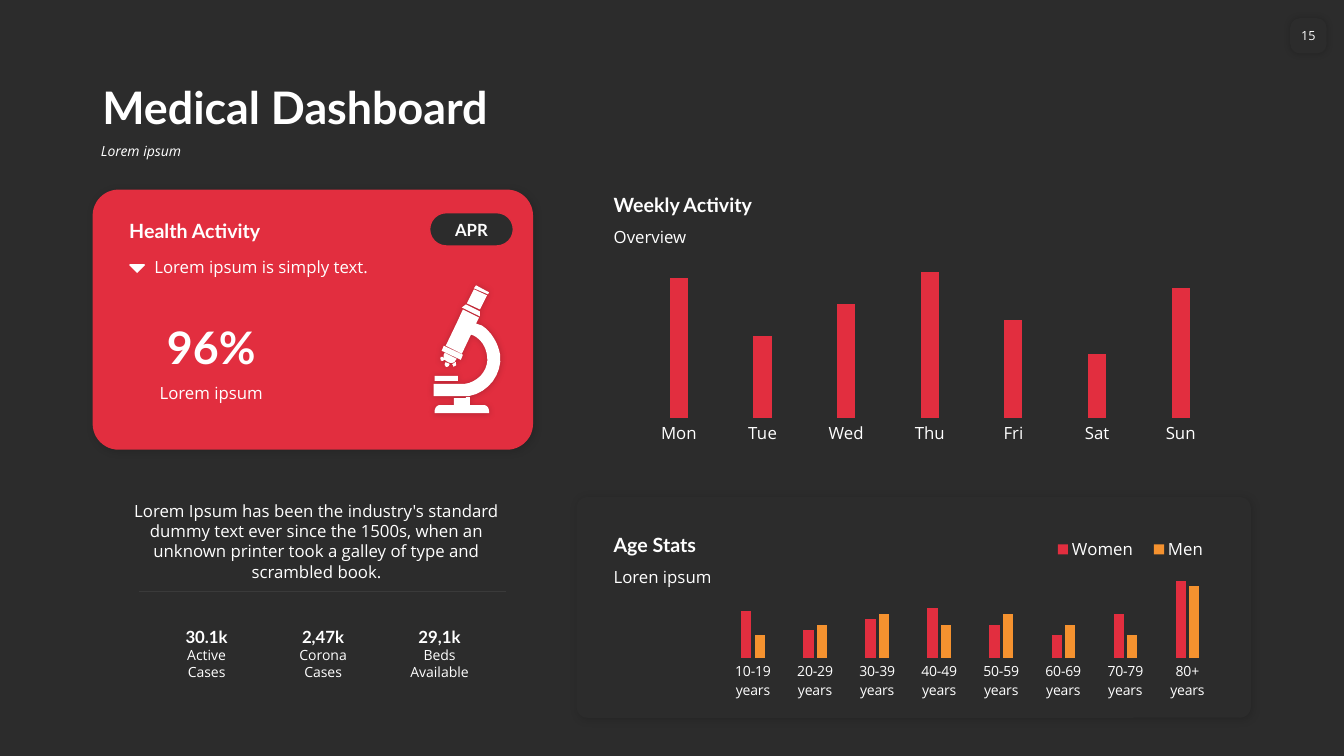
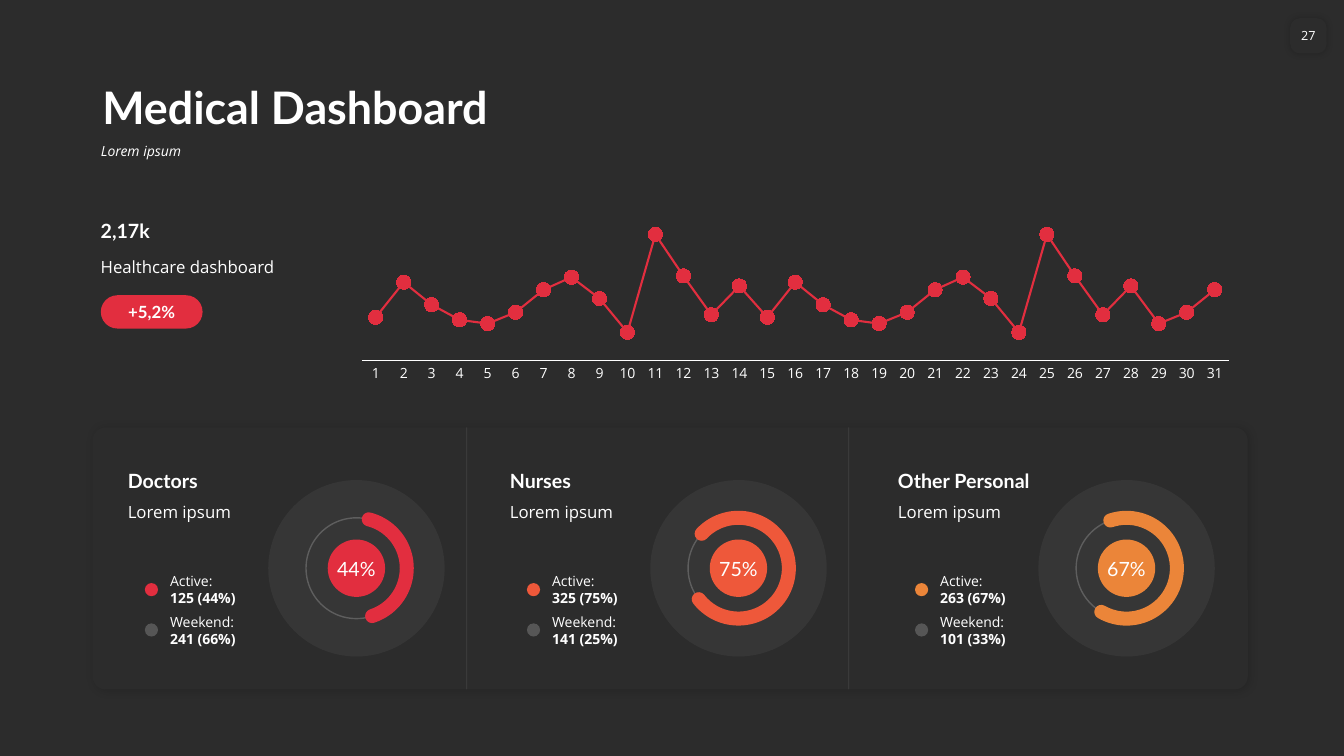
from collections import namedtuple

from lxml import etree
from pptx import Presentation
from pptx.chart.data import CategoryChartData
from pptx.dml.color import RGBColor
from pptx.enum.chart import (XL_CHART_TYPE, XL_LEGEND_POSITION, XL_MARKER_STYLE,
                             XL_TICK_MARK)
from pptx.enum.shapes import MSO_CONNECTOR, MSO_SHAPE
from pptx.enum.text import MSO_ANCHOR, PP_ALIGN
from pptx.oxml.ns import qn
from pptx.util import Pt

DARK = RGBColor(0x2C, 0x2C, 0x2C)
WHITE = RGBColor(0xFF, 0xFF, 0xFF)
RED = RGBColor(0xE2, 0x2E, 0x3F)
CORAL = RGBColor(0xEE, 0x58, 0x3A)
AMBER = RGBColor(0xEB, 0x85, 0x39)
ORANGE = RGBColor(0xF5, 0x92, 0x2F)

ROUNDED, ELLIPSE, ARC = MSO_SHAPE.ROUNDED_RECTANGLE, MSO_SHAPE.OVAL, MSO_SHAPE.ARC
STRAIGHT = MSO_CONNECTOR.STRAIGHT
LEFT, CENTER = PP_ALIGN.LEFT, PP_ALIGN.CENTER
TOP, MIDDLE, BOTTOM = MSO_ANCHOR.TOP, MSO_ANCHOR.MIDDLE, MSO_ANCHOR.BOTTOM
COLUMNS, LINE = XL_CHART_TYPE.COLUMN_CLUSTERED, XL_CHART_TYPE.LINE_MARKERS_STACKED
NO_TICK, CIRCLE = XL_TICK_MARK.NONE, XL_MARKER_STYLE.CIRCLE
LEGEND_TOP = XL_LEGEND_POSITION.TOP

Style = namedtuple("Style", "font size bold italic", defaults=(False, False))
TITLE = Style("Lato", 32, True)
HEADING = Style("Lato", 14, True)
DIAL_VALUE = Style("Lato", 14)
LABEL = Style("Lato", 12, True)
BODY = Style("Open Sans", 12)
SMALL = Style("Open Sans", 10)
SMALL_BOLD = Style("Open Sans", 10, True)
SUBTITLE = Style("Open Sans", 10, False, True)
PAGE_NUMBER = Style("Open Sans", 9)

SOFT_SHADOW = (20, 5, 0)
CARD_SHADOW = (15, 6, 1)

ARROW = [[(1, 0), (15, 0), (16, 1), (15, 2), (8, 9), (1, 2), (0, 1)]]
MICROSCOPE = [
    [(36, 111), (36, 119), (50, 119), (53, 119, 55, 122, 55, 125), (55, 127), (1, 127),
     (1, 125), (1, 122, 3, 119, 6, 119), (20, 119), (20, 112), (32, 112), (32, 111)],
    [(24, 90), (24, 95), (1, 95), (1, 90)],
    [(22, 76), (22, 78), (23, 79, 22, 80, 21, 80), (20, 81),
     (20, 81, 19, 80, 19, 79), (18, 78), (19, 78)],
    [(12, 76), (13, 77, 13, 77, 14, 77), (14, 77, 15, 77, 15, 78), (16, 78), (15, 80),
     (14, 81, 13, 81, 12, 81), (12, 80), (11, 80, 11, 79, 11, 78)],
    [(9, 71), (10, 73), (11, 74), (9, 75), (8, 75, 7, 75, 7, 74), (7, 73),
     (6, 73, 7, 72, 7, 71)],
    [(11, 67), (23, 73), (22, 74), (21, 77, 17, 78, 14, 76), (11, 75, 9, 72, 10, 69)],
    [(10, 60), (29, 69), (27, 74), (8, 65)],
    [(29, 24), (45, 32), (42, 38), (48, 40), (57, 46, 64, 57, 66, 69),
     (68, 88, 55, 106, 35, 110), (0, 110), (0, 98), (30, 98), (35, 97),
     (47, 93, 55, 82, 53, 70), (52, 61, 47, 54, 40, 50), (37, 49), (28, 68),
     (12, 60), (24, 35)],
    [(32, 19), (46, 26), (46, 31), (28, 22)],
    [(40, 4), (53, 10), (46, 24), (33, 18)],
    [(42, 0), (55, 7), (54, 9), (40, 3)],
]


def points(*lengths):
    return [Pt(length) for length in lengths]


def set_alpha(element, percent):
    for color in element.iter(qn("a:srgbClr")):
        etree.SubElement(color, qn("a:alpha"), val=str(percent * 1000))


def cast_shadow(shape, opacity, blur, distance):
    effects = shape._element.spPr.find(qn("a:effectLst"))
    outer = etree.SubElement(effects, qn("a:outerShdw"), blurRad=str(Pt(blur)),
                             dist=str(Pt(distance)), dir="2700000", rotWithShape="0")
    etree.SubElement(outer, qn("a:srgbClr"), val="000000")
    set_alpha(outer, opacity)


def write(shape, lines, align=LEFT, anchor=TOP, margins=None, wrap=True, spacing=None):
    frame = shape.text_frame
    frame.word_wrap = wrap
    frame.vertical_anchor = anchor
    if margins:
        frame.margin_left = frame.margin_right = Pt(margins[0])
        frame.margin_top = frame.margin_bottom = Pt(margins[1])
    for index, (words, style) in enumerate(lines):
        paragraph = frame.add_paragraph() if index else frame.paragraphs[0]
        paragraph.alignment = align
        if spacing:
            paragraph.line_spacing = spacing
        run = paragraph.add_run()
        run.text = words
        run.font.name, run.font.size = style.font, Pt(style.size)
        run.font.bold, run.font.italic = style.bold, style.italic
        run.font.color.rgb = WHITE


def text(slide, box, lines, **options):
    write(slide.shapes.add_textbox(*points(*box)), lines, **options)


def paint(shape, fill=None, alpha=None, shadow=None):
    shape.shadow.inherit = False
    shape.line.fill.background()
    if fill is None:
        shape.fill.background()
    else:
        shape.fill.solid()
        shape.fill.fore_color.rgb = fill
    if alpha:
        set_alpha(shape._element.spPr, alpha)
    if shadow:
        cast_shadow(shape, *shadow)
    return shape


def card(slide, box, radius, fill, shadow=None):
    shape = paint(slide.shapes.add_shape(ROUNDED, *points(*box)), fill, shadow=shadow)
    shape.adjustments[0] = radius
    return shape


def disc(slide, center_x, center_y, size, preset=ELLIPSE, **look):
    box = points(center_x - size / 2, center_y - size / 2, size, size)
    return paint(slide.shapes.add_shape(preset, *box), **look)


def outline(shape, color, width):
    shape.line.color.rgb = color
    shape.line.width = Pt(width)


def pill(slide, box, words, fill):
    shape = card(slide, box, 0.5, fill)
    write(shape, [(words, LABEL)], CENTER, MIDDLE, (0, 0))
    return shape


def divider(slide, x1, y1, x2, y2):
    line = slide.shapes.add_connector(STRAIGHT, *points(x1, y1, x2, y2))
    outline(line, WHITE, 0.5)
    set_alpha(line._element.spPr, 10)
    etree.SubElement(line._element.spPr, qn("a:effectLst"))


def heading(slide, x, y, title, caption, caption_gap=24.4):
    text(slide, (x, y, 206, 24.5), [(title, HEADING)], anchor=BOTTOM)
    text(slide, (x, y + caption_gap, 206, 21.6), [(caption, BODY)])


def flatten(contour):
    vertices = []
    for step in contour:
        if len(step) == 2:
            vertices.append((step[0] * 10, step[1] * 10))
            continue
        start = vertices[-1]
        for t in (i / 8 for i in range(1, 9)):
            weights = (3 * t * (1 - t) ** 2, 3 * t * t * (1 - t), t ** 3)
            vertices.append(tuple(
                start[axis] * (1 - t) ** 3
                + sum(w * step[2 * k + axis] * 10 for k, w in enumerate(weights))
                for axis in (0, 1)))
    return vertices


def icon(slide, x, y, contours, shadow=None):
    builder = None
    for contour in contours:
        vertices = flatten(contour)
        if builder is None:
            builder = slide.shapes.build_freeform(*vertices[0], scale=Pt(0.072))
        else:
            builder.move_to(*vertices[0])
        builder.add_line_segments(vertices[1:], close=True)
    paint(builder.convert_to_shape(Pt(x), Pt(y)), WHITE, shadow=shadow)


def fix_layout(element, position, area, inner=False):
    for old in element.findall(qn("c:layout")):
        element.remove(old)
    layout = etree.Element(qn("c:layout"))
    manual = etree.SubElement(layout, qn("c:manualLayout"))
    if inner:
        etree.SubElement(manual, qn("c:layoutTarget"), val="inner")
    for name in ("xMode", "yMode"):
        etree.SubElement(manual, qn("c:" + name), val="edge")
    for name, share in zip("xywh", area):
        etree.SubElement(manual, qn("c:" + name), val=str(share))
    element.insert(position, layout)


def chart(slide, box, kind, categories, series, plot_area, label_size):
    data = CategoryChartData()
    data.categories = categories
    for name, values, _ in series:
        data.add_series(name, values)
    graph = slide.shapes.add_chart(kind, *points(*box), data).chart
    graph.has_title = graph.has_legend = False
    graph.font.name, graph.font.size = "Open Sans", Pt(12)
    graph.font.color.rgb = WHITE
    axis = graph.category_axis
    axis.major_tick_mark = axis.minor_tick_mark = NO_TICK
    axis.has_major_gridlines = False
    axis.format.line.fill.background()
    labels = axis.tick_labels.font
    labels.name, labels.size = "Open Sans", Pt(label_size)
    labels.color.rgb = WHITE
    scale = graph.value_axis
    scale.has_major_gridlines = scale.visible = False
    scale.minimum_scale, scale.maximum_scale = 0, 110
    graph.plots[0].vary_by_categories = False
    fix_layout(graph._chartSpace.chart.plotArea, 0, plot_area, inner=True)
    return graph


def column_chart(slide, box, categories, series, plot_area, label_size, gap):
    graph = chart(slide, box, COLUMNS, categories, series, plot_area, label_size)
    graph.plots[0].gap_width, graph.plots[0].overlap = gap, -30
    for bars, (_, _, color) in zip(graph.plots[0].series, series):
        bars.format.fill.solid()
        bars.format.fill.fore_color.rgb = color
    return graph


def start_slide(deck, number):
    slide = deck.slides.add_slide(deck.slide_layouts[6])
    slide.background.fill.solid()
    slide.background.fill.fore_color.rgb = DARK
    text(slide, (66, 42, 828, 57.6), [("Medical Dashboard", TITLE)], anchor=BOTTOM, spacing=0.9)
    text(slide, (65, 99.4, 829, 26), [("Lorem ipsum", SUBTITLE)], spacing=0.9)
    badge = card(slide, (921.6, 13, 26, 25.2), 0.27, DARK, SOFT_SHADOW)
    write(badge, [(number, PAGE_NUMBER)], CENTER, MIDDLE, (0, 3.6), wrap=False)
    return slide


def health_card(slide, x, y, width, height):
    card(slide, (x, y, width, height), 0.1, RED, CARD_SHADOW)
    text(slide, (x + 26, y + 89.2, 117.4, 46), [("96%", TITLE)], align=CENTER, anchor=BOTTOM)
    text(slide, (x + 26, y + 134.6, 117.4, 21.6), [("Lorem ipsum", BODY)], align=CENTER)
    outline(pill(slide, (x + 240.7, y + 16.5, 59.8, 23.8), "APR", DARK), RED, 1)
    text(slide, (x + 19, y + 16.5, 181, 24.5), [("Health Activity", HEADING)], anchor=BOTTOM)
    text(slide, (x + 37, y + 44.6, 264, 21.6), [("Lorem ipsum is simply text.", BODY)])
    icon(slide, x + 26, y + 53.2, ARROW)
    icon(slide, x + 243.6, y + 68.4, MICROSCOPE, SOFT_SHADOW)


def weekly_activity(slide, x, y):
    heading(slide, x, y, "Weekly Activity", "Overview")
    column_chart(slide, (x + 15.1, y + 46.1, 435.6, 141.1),
                 ["Mon", "Tue", "Wed", "Thu", "Fri", "Sat", "Sun"],
                 [("Series 1", [96, 56, 78, 100, 67, 44, 89], RED)],
                 (0.02, 0.03, 0.96, 0.81), 12, 360)


def case_summary(slide, x, y):
    divider(slide, x + 25.2, y + 68.4, x + 287.2, y + 68.4)
    figures = [("30.1k", "Active", "Cases"), ("2,47k", "Corona Cases"),
               ("29,1k", "Beds Available")]
    for index, (count, *captions) in enumerate(figures):
        text(slide, (x + 37.4 + 83.2 * index, y + 89.3, 72, 46),
             [(count, LABEL)] + [(caption, SMALL) for caption in captions],
             align=CENTER, anchor=MIDDLE)
    text(slide, (x, y, 303.8, 51),
         [("Lorem Ipsum has been the industry's standard dummy text ever since the 1500s, "
           "when an unknown printer took a galley of type and scrambled book.", BODY)],
         align=CENTER)


def age_panel(slide, x, y, width, height):
    card(slide, (x, y, width, height), 0.05, DARK, CARD_SHADOW)
    ages = ["10-19", "20-29", "30-39", "40-49", "50-59", "60-69", "70-79", "80+"]
    graph = column_chart(slide, (x + 96.5, y + 21.6, 369.4, 126),
                         [f"{age} years" for age in ages],
                         [("Women", [61, 36, 50, 64, 43, 29, 57, 100], RED),
                          ("Men", [29, 43, 57, 43, 57, 43, 29, 93], ORANGE)],
                         (0.02, 0.26, 0.96, 0.48), 10, 380)
    graph.has_legend = True
    legend = graph.legend
    legend.position, legend.include_in_layout = LEGEND_TOP, False
    legend.font.size, legend.font.name = Pt(12), "Open Sans"
    legend.font.color.rgb = WHITE
    fix_layout(legend._element, 1, (0.64, 0.06, 0.34, 0.13))
    heading(slide, x + 19.4, y + 21.6, "Age Stats", "Loren ipsum")


def monthly_trend(slide, x, y):
    half_month = [34, 62, 44, 32, 29, 38, 56, 66, 49, 22, 100, 67, 36, 59]
    values = half_month + half_month[:12] + [36, 59, 29, 38, 56]
    graph = chart(slide, (x + 180.7, y - 3.6, 645.1, 128.2), LINE,
                  [str(day) for day in range(1, 32)], [("Series 1", values, RED)],
                  (0.02, 0.08, 0.96, 0.77), 10)
    outline(graph.category_axis.format, WHITE, 0.75)
    trend = graph.plots[0].series[0]
    trend.smooth = False
    outline(trend.format, RED, 1.5)
    trend.marker.style, trend.marker.size = CIRCLE, 10
    trend.marker.format.fill.solid()
    trend.marker.format.fill.fore_color.rgb = RED
    trend.marker.format.line.color.rgb = RED
    heading(slide, x, y, "2,17k", "Healthcare dashboard", 28.1)
    pill(slide, (x + 7.2, y + 59, 72.7, 23.8), "+5,2%", RED)


def staff_group(slide, x, y, name, color, share, arc_angles, active, weekend):
    center_x, center_y = x + 188.4, y + 100.6
    disc(slide, center_x, center_y, 126, fill=WHITE, alpha=5)
    ring = disc(slide, center_x, center_y, 72)
    outline(ring, WHITE, 1)
    set_alpha(ring.line._ln, 20)
    heading(slide, x + 18, y + 25.2, name, "Lorem ipsum")
    hub = disc(slide, center_x, center_y, 41, fill=color)
    write(hub, [(share, DIAL_VALUE)], CENTER, MIDDLE, (0, 3.6), wrap=False)
    arc = disc(slide, center_x, center_y, 72, ARC)
    for index, degrees in enumerate(arc_angles):
        arc.adjustments[index] = degrees * 0.6
    outline(arc, color, 10)
    arc.line._ln.set("cap", "rnd")
    rows = [("Active:", active, color, None), ("Weekend:", weekend, WHITE, 20)]
    for index, (label, count, fill, alpha) in enumerate(rows):
        middle = y + 115.9 + 28.8 * index
        disc(slide, x + 42, middle, 9.4, fill=fill, alpha=alpha)
        text(slide, (x + 48.2, middle - 15.8, 85, 31.7),
             [(label, SMALL), (count, SMALL_BOLD)], anchor=MIDDLE)


def staff_panel(slide, x, y, width, height):
    card(slide, (x, y, width, height), 0.05, DARK, CARD_SHADOW)
    groups = [
        (0, "Doctors", RED, "44%", (284.17, 71.77), "125 (44%)", "241 (66%)"),
        (272.9, "Nurses", CORAL, "75%", (223.06, 142.01), "325 (75%)", "141 (25%)"),
        (550.1, "Other Personal", AMBER, "67%", (251.29, 120.02), "263 (67%)", "101 (33%)"),
    ]
    for offset, *details in groups:
        staff_group(slide, x + offset, y, *details)
    for offset in (267.2, 540):
        divider(slide, x + offset, y + height, x + offset, y)


def main():
    deck = Presentation()
    deck.slide_width, deck.slide_height = points(960, 540)
    activity = start_slide(deck, "15")
    health_card(activity, 66.2, 135.4, 314.6, 185.8)
    weekly_activity(activity, 431.3, 133.9)
    case_summary(activity, 74.2, 354.2)
    age_panel(activity, 411.8, 355, 481.7, 157.7)
    staffing = start_slide(deck, "27")
    monthly_trend(staffing, 64.8, 151.9)
    staff_panel(staffing, 66.2, 305.3, 825.1, 187.2)
    deck.save("out.pptx")


if __name__ == "__main__":
    main()
